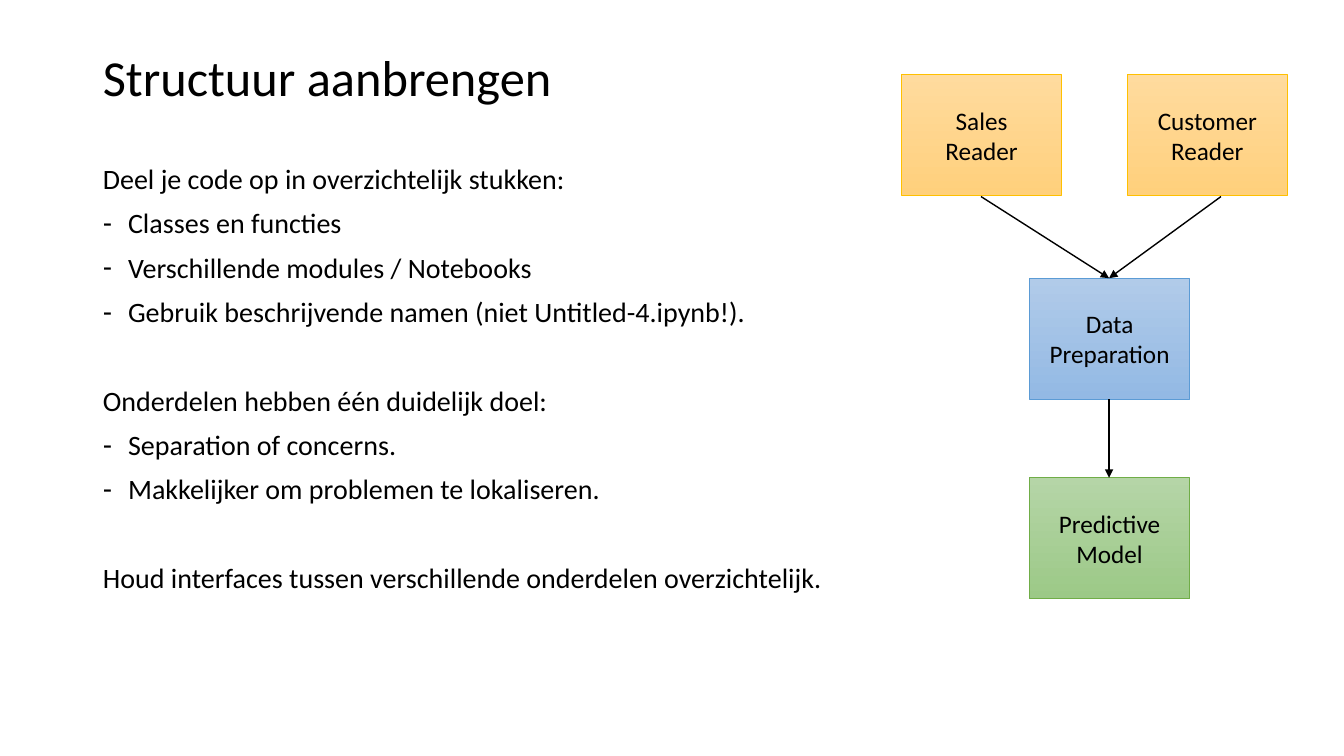
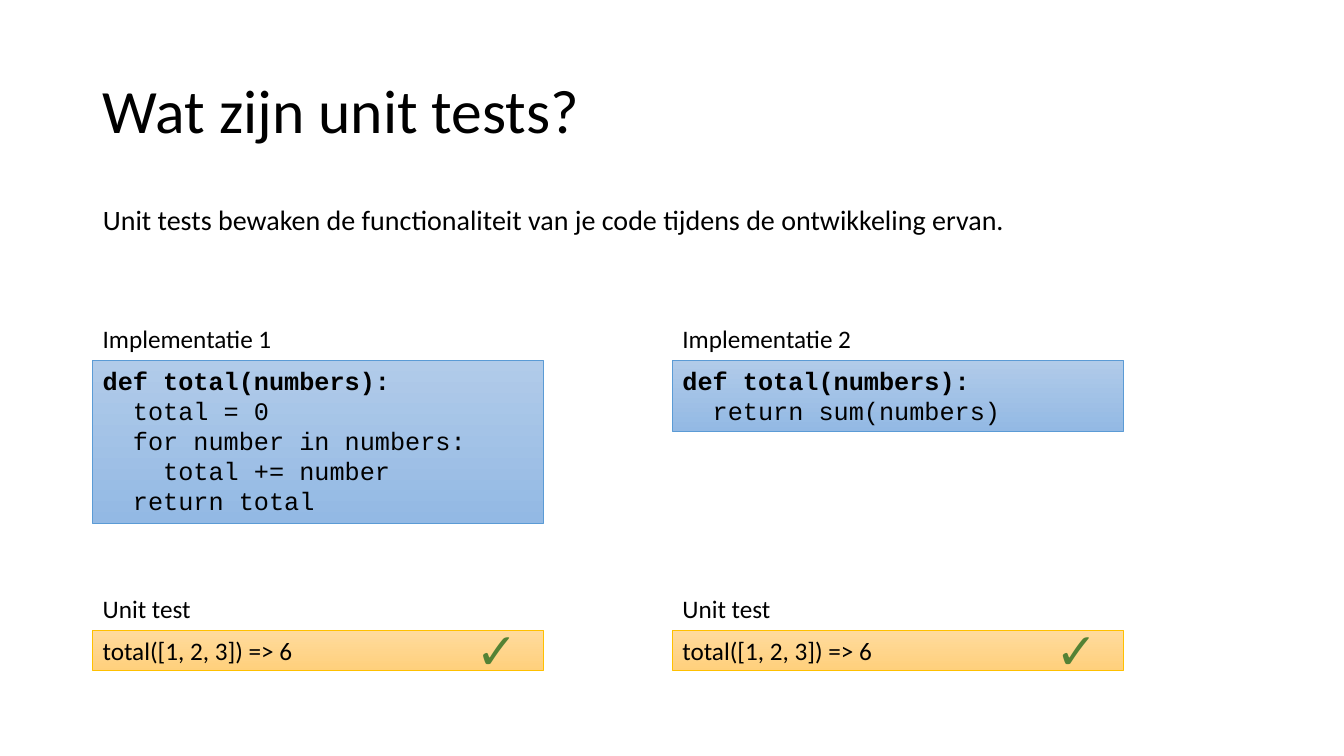
from lxml.etree import SubElement
from pptx import Presentation
from pptx.dml.color import RGBColor
from pptx.enum.shapes import MSO_CONNECTOR, MSO_SHAPE
from pptx.enum.text import MSO_ANCHOR, MSO_AUTO_SIZE, PP_ALIGN
from pptx.oxml.ns import qn
from pptx.util import Pt

EMU_PER_PX = 9144
LEFT = 92
COLORS = {"text": "000000", "check": "548235"}
# Gradient top, gradient bottom, outline
BOX_STYLES = {
    "orange": ("FFDB9E", "FFD07C", "FFC000"),
    "blue": ("B1CBE9", "93B9E4", "5B9BD5"),
    "green": ("B5D5A7", "9CC987", "70AD47"),
}


def px(*lengths):
    return [length * EMU_PER_PX for length in lengths]


def rgb(hex_color):
    return RGBColor.from_string(hex_color)


class Deck:
    """Holds the shared style and the slide being filled."""

    font = "Calibri"
    code_font = "Courier New"
    code_indent = 15  # width of one code character in px

    def __init__(self):
        self.presentation = Presentation()
        self.presentation.slide_width, self.presentation.slide_height = px(1333, 750)
        self.page = None

    def add_page(self):
        layout = self.presentation.slide_layouts[1]
        self.page = self.presentation.slides.add_slide(layout)

    def format_text(self, paragraph, size, color="text", font=None, bold=False):
        for span in paragraph.runs:
            span.font.size = Pt(size)
            span.font.name = font or self.font
            span.font.color.rgb = rgb(COLORS[color])
            span.font.bold = bold

    def place(self, box, left, top, width, height):
        box.left, box.top, box.width, box.height = px(left, top, width, height)
        box.text_frame.auto_size = MSO_AUTO_SIZE.NONE

    def title(self, text, height, size):
        box = self.page.shapes.title
        self.place(box, LEFT, 40, 1150, height)
        box.text_frame.text = text
        box.text_frame.vertical_anchor = MSO_ANCHOR.MIDDLE
        paragraph = box.text_frame.paragraphs[0]
        paragraph.alignment = PP_ALIGN.LEFT
        paragraph.line_spacing = 0.9
        self.format_text(paragraph, size)

    def body(self, top, height, sections):
        """Fill the body with sections: a lead line followed by dashed points."""
        box = self.page.placeholders[1]
        self.place(box, LEFT, top, 1150, height)
        lines = [line for section in sections for line in section]
        box.text_frame.text = "\n".join(lines)
        paragraphs = iter(box.text_frame.paragraphs)
        for number, section in enumerate(sections):
            for row, _ in enumerate(section):
                paragraph = next(paragraphs)
                paragraph.line_spacing = 0.9
                paragraph.space_before = Pt(42 if number and not row else 10)
                self.format_text(paragraph, 20)
                self.bullet(paragraph, dashed=row > 0)

    def bullet(self, paragraph, dashed):
        properties = paragraph._p.get_or_add_pPr()
        indent = px(25)[0] if dashed else 0
        properties.set("marL", str(indent))
        properties.set("indent", str(-indent))
        if dashed:
            SubElement(properties, qn("a:buFontTx"))
            SubElement(properties, qn("a:buChar"), char="-")
        else:
            SubElement(properties, qn("a:buNone"))

    def box(self, style, text, left, top, width, height):
        """Draw an outlined gradient rectangle with left-aligned text."""
        shape = self.page.shapes.add_shape(
            MSO_SHAPE.RECTANGLE, *px(left, top, width, height))
        shape.shadow.inherit = False
        *gradient, outline = BOX_STYLES[style]
        shape.fill.gradient()
        shape.fill.gradient_angle = 270
        for stop, color in zip(shape.fill.gradient_stops, gradient):
            stop.color.rgb = rgb(color)
        shape.line.color.rgb = rgb(outline)
        shape.line.width = Pt(0.5)
        frame = shape.text_frame
        frame.text = text
        frame.word_wrap = True
        frame.vertical_anchor = MSO_ANCHOR.TOP
        for paragraph in frame.paragraphs:
            paragraph.alignment = PP_ALIGN.LEFT
            self.format_text(paragraph, 18)
        return shape

    def step(self, style, text, left, top):
        frame = self.box(style, text, left, top, 159, 120).text_frame
        frame.vertical_anchor = MSO_ANCHOR.MIDDLE
        for paragraph in frame.paragraphs:
            paragraph.alignment = PP_ALIGN.CENTER

    def code(self, lines, left, top, height):
        """Show (depth, text) lines of code; the first one is bold."""
        text = "\n".join(line for _, line in lines)
        frame = self.box("blue", text, left, top, 447, height).text_frame
        for paragraph, (depth, _) in zip(frame.paragraphs, lines):
            self.format_text(paragraph, 18, font=self.code_font, bold=depth == 0)
            margin = px(2 * depth * self.code_indent)[0]
            paragraph._p.get_or_add_pPr().set("marL", str(margin))

    def label(self, text, left, top, width, height=40, size=18, color="text"):
        box = self.page.shapes.add_textbox(*px(left, top, width, height))
        frame = box.text_frame
        frame.text = text
        frame.word_wrap = False
        frame.auto_size = MSO_AUTO_SIZE.SHAPE_TO_FIT_TEXT
        self.format_text(frame.paragraphs[0], size, color)

    def arrow(self, start, end, width=1):
        connector = self.page.shapes.add_connector(
            MSO_CONNECTOR.STRAIGHT, *px(*start, *end))
        connector.line.color.rgb = rgb(COLORS["text"])
        connector.line.width = Pt(width)
        SubElement(connector.line._get_or_add_ln(), qn("a:tailEnd"), type="triangle")
        SubElement(connector._element.spPr, qn("a:effectLst"))


def structure_page(deck):
    deck.add_page()
    deck.title("Structuur aanbrengen", 79, 36)
    deck.body(159, 516, [
        ["Deel je code op in overzichtelijk stukken:",
         "Classes en functies",
         "Verschillende modules / Notebooks",
         "Gebruik beschrijvende namen (niet Untitled-4.ipynb!)."],
        ["Onderdelen hebben één duidelijk doel:",
         "Separation of concerns.",
         "Makkelijker om problemen te lokaliseren."],
        ["Houd interfaces tussen verschillende onderdelen overzichtelijk."],
    ])
    for style, text, left, top in [
        ("orange", "Sales\nReader", 894, 74),
        ("orange", "Customer\nReader", 1118, 74),
        ("blue", "Data\nPreparation", 1021, 276),
        ("green", "Predictive\nModel", 1021, 474),
    ]:
        deck.step(style, text, left, top)
    for reader_center in (973, 1211):
        deck.arrow((reader_center, 195), (1100, 276))
    deck.arrow((1100, 396), (1100, 474), 1.5)


def unit_test_page(deck):
    deck.add_page()
    deck.title("Wat zijn unit tests?", 145, 44)
    deck.body(200, 476, [
        ["Unit tests bewaken de functionaliteit van je code tijdens de ontwikkeling ervan."],
    ])
    loop_code = [
        (0, "def total(numbers):"),
        (1, "total = 0"),
        (1, "for number in numbers:"),
        (2, "total += number"),
        (1, "return total"),
    ]
    sum_code = [(0, "def total(numbers):"), (1, "return sum(numbers)")]
    implementations = [(loop_code, 162), (sum_code, 71)]
    for number, (lines, height) in enumerate(implementations, 1):
        left = LEFT + 575 * (number - 1)
        deck.label(f"Implementatie {number}", left, 316, 190)
        deck.code(lines, left, 357, height)
        deck.label("Unit test", left, 584, 108)
        deck.box("orange", "total([1, 2, 3]) => 6", left, 625, 447, 40)
        deck.label("✓", left + 370, 609, 60, 71, 36, "check")


def main():
    deck = Deck()
    structure_page(deck)
    unit_test_page(deck)
    deck.presentation.save("out.pptx")


if __name__ == "__main__":
    main()
